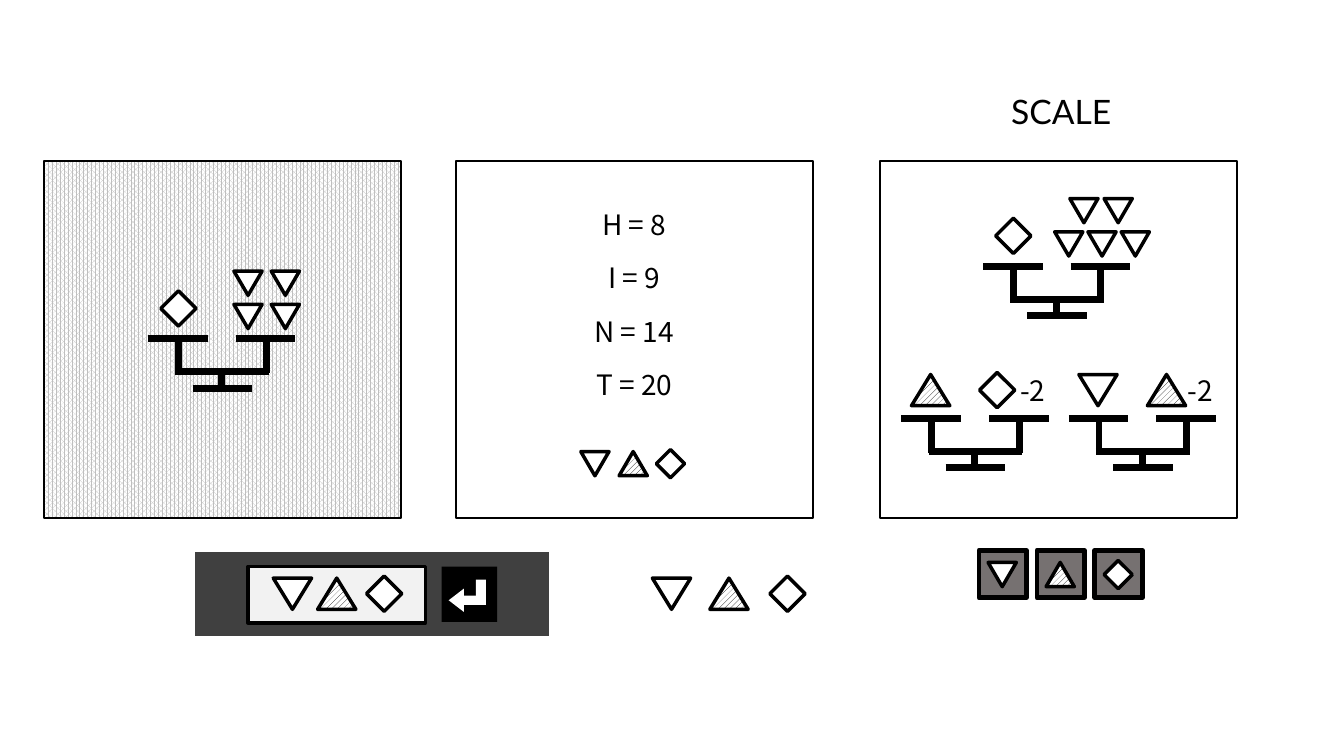
from dataclasses import dataclass

from lxml import etree
from pptx import Presentation
from pptx.dml.color import RGBColor
from pptx.enum.dml import MSO_PATTERN
from pptx.enum.shapes import MSO_CONNECTOR, MSO_SHAPE
from pptx.enum.text import MSO_ANCHOR, PP_ALIGN
from pptx.oxml.ns import qn
from pptx.util import Inches, Pt

RECTANGLE = MSO_SHAPE.RECTANGLE
TRIANGLE = MSO_SHAPE.ISOSCELES_TRIANGLE
DIAMOND = MSO_SHAPE.DIAMOND
STRAIGHT = MSO_CONNECTOR.STRAIGHT
HATCH = MSO_PATTERN.WIDE_UPWARD_DIAGONAL
DOTS = MSO_PATTERN.PERCENT_75
CENTER = PP_ALIGN.CENTER
LEFT = PP_ALIGN.LEFT
MIDDLE = MSO_ANCHOR.MIDDLE
TOP = MSO_ANCHOR.TOP
TITLE_ONLY = 5


@dataclass(frozen=True)
class Theme:
    black: str = "000000"
    white: str = "FFFFFF"
    keypad: str = "404040"
    display: str = "F2F2F2"
    key: str = "767171"
    dots: str = "BFBFBF"
    title_font: str = "Lato"
    body_font: str = "Noto Sans CJK KR"
    title_size: float = 24
    body_size: float = 20
    panel_line: float = 1.5
    symbol_line: float = 2.5
    key_line: float = 3.5
    scale_line: float = 5


THEME = Theme()
CODE = ("down", "up", "diamond")
PANEL_SIZE = 3.54
PANEL_TOP = 1.6
# Width and height of triangles, then the side of diamonds
LARGE = (0.38, 0.31, 0.35)
SMALL = (0.28, 0.24, 0.28)


def color(value):
    return RGBColor.from_string(value)


def add_figure(shapes, preset, box, fill=None, pattern=None, line=None,
               line_width=THEME.symbol_line, rotation=0):
    """Draw a preset shape; pattern is a (preset, foreground) pair on white."""
    figure = shapes.add_shape(preset, *map(Inches, box))
    figure.shadow.inherit = False
    figure.rotation = rotation
    if pattern:
        figure.fill.patterned()
        figure.fill.pattern = pattern[0]
        figure.fill.fore_color.rgb = color(pattern[1])
        figure.fill.back_color.rgb = color(THEME.white)
    elif fill:
        figure.fill.solid()
        figure.fill.fore_color.rgb = color(fill)
    else:
        figure.fill.background()
    if line:
        figure.line.color.rgb = color(line)
        figure.line.width = Pt(line_width)
    else:
        figure.line.fill.background()


def add_bar(shapes, start_x, start_y, end_x, end_y):
    ends = map(Inches, (start_x, start_y, end_x, end_y))
    bar = shapes.add_connector(STRAIGHT, *ends)
    bar.line.color.rgb = color(THEME.black)
    bar.line.width = Pt(THEME.scale_line)
    etree.SubElement(bar._element.spPr, qn("a:effectLst"))


def write(holder, text, box, font=THEME.body_font, size=THEME.body_size,
          align=LEFT, anchor=TOP, gap=0):
    """Fill a text holder, one paragraph a line, with gap points between."""
    holder.left, holder.top, holder.width, holder.height = map(Inches, box)
    frame = holder.text_frame
    frame.text = text
    frame.word_wrap = False
    frame.vertical_anchor = anchor
    for index, paragraph in enumerate(frame.paragraphs):
        paragraph.alignment = align
        paragraph.space_before = Pt(gap if index else 0)
        paragraph.font.name = font
        paragraph.font.size = Pt(size)
        paragraph.font.color.rgb = color(THEME.black)


def add_text(shapes, text, box, **style):
    write(shapes.add_textbox(*map(Inches, box)), text, box, **style)


def add_symbol(shapes, kind, center_x, center_y, size=LARGE):
    width, height, side = size
    if kind == "diamond":
        width = height = side
    add_figure(
        shapes, DIAMOND if kind == "diamond" else TRIANGLE,
        (center_x - width / 2, center_y - height / 2, width, height),
        fill=THEME.white, line=THEME.black,
        pattern=(HATCH, THEME.black) if kind == "up" else None,
        rotation=180 if kind == "down" else 0)


def add_code(shapes, centers, center_y, size=LARGE):
    for kind, center_x in zip(CODE, centers):
        add_symbol(shapes, kind, center_x, center_y, size)


def add_scale(shapes, left, top, symbols, note=None):
    """Draw a balance whose pans are at top; symbols are offsets from there."""
    scale = shapes.add_group_shape().shapes
    for pan_x in (0, 0.87):
        add_bar(scale, left + pan_x, top, left + pan_x + 0.59, top)
        post_x = left + pan_x + 0.3
        add_bar(scale, post_x, top, post_x, top + 0.34)
    add_bar(scale, left + 0.27, top + 0.33, left + 1.2, top + 0.33)
    add_bar(scale, left + 0.73, top + 0.33, left + 0.73, top + 0.49)
    add_bar(scale, left + 0.44, top + 0.49, left + 1.03, top + 0.49)
    for kind, offset_x, offset_y, size in symbols:
        add_symbol(scale, kind, left + offset_x, top + offset_y, size)
    if note:
        add_text(scale, note, (left + 1.08, top - 0.49, 0.53, 0.44))


def pile(*rows):
    """List small triangles from the bottom row up, given their offsets."""
    return [("down", offset_x, -0.22 - 0.33 * level, SMALL)
            for level, row in enumerate(rows) for offset_x in row]


def add_panel(shapes, left, **fill):
    add_figure(shapes, RECTANGLE, (left, PANEL_TOP, PANEL_SIZE, PANEL_SIZE),
               line=THEME.black, line_width=THEME.panel_line, **fill)


def add_keypad(shapes):
    add_figure(shapes, RECTANGLE, (1.92, 5.46, 3.54, 0.87),
               fill=THEME.keypad, line=THEME.white)
    keypad = shapes.add_group_shape().shapes
    add_figure(keypad, RECTANGLE, (2.46, 5.62, 1.76, 0.56),
               fill=THEME.display, line=THEME.black)
    add_code(keypad, (2.9, 3.34, 3.81), 5.89)
    add_figure(keypad, RECTANGLE, (4.38, 5.62, 0.55, 0.55), fill=THEME.black)
    for arrow_part in ((4.72, 5.75, 0.1, 0.19), (4.57, 5.91, 0.25, 0.09)):
        add_figure(keypad, RECTANGLE, arrow_part, fill=THEME.white)
    add_figure(keypad, TRIANGLE, (4.41, 5.88, 0.23, 0.15),
               fill=THEME.white, rotation=270)


def add_keys(shapes):
    keys = shapes.add_group_shape().shapes
    lefts = [9.71 + 0.575 * index for index in range(len(CODE))]
    for left in lefts:
        add_figure(keys, RECTANGLE, (left, 5.46, 0.47, 0.47), fill=THEME.key,
                   line=THEME.black, line_width=THEME.key_line)
    add_code(keys, [left + 0.23 for left in lefts], 5.7, SMALL)


def main():
    deck = Presentation()
    deck.slide_width, deck.slide_height = Inches(13.33), Inches(7.5)
    slide = deck.slides.add_slide(deck.slide_layouts[TITLE_ONLY])
    shapes = slide.shapes
    write(shapes.title, "SCALE", (9.91, 0.85, 1.23, 0.5), align=CENTER,
          font=THEME.title_font, size=THEME.title_size, anchor=MIDDLE)

    add_panel(shapes, 0.44, pattern=(DOTS, THEME.dots))
    add_panel(shapes, 4.52)
    add_panel(shapes, 8.73, fill=THEME.white)

    lone_diamond = ("diamond", 0.3, -0.3, LARGE)
    pair = (0.99, 1.36)
    add_scale(shapes, 1.47, 3.36, [lone_diamond, *pile(pair, pair)])
    add_scale(shapes, 9.75, 2.64,
              [lone_diamond, *pile((0.85, 1.18, 1.51), (1, 1.34))])
    add_scale(shapes, 8.94, 4.15, [("up", 0.29, -0.28, LARGE),
                                   ("diamond", 0.95, -0.28, LARGE)], "-2")
    add_scale(shapes, 10.6, 4.15, [("down", 0.29, -0.28, LARGE),
                                   ("up", 0.97, -0.28, LARGE)], "-2")

    add_text(shapes, "H = 8\nI = 9\nN = 14\nT = 20", (5.78, 2.01, 1.02, 2.05),
             align=CENTER, gap=14)
    add_code(shapes, (5.9, 6.28, 6.65), 4.6, SMALL)

    add_keypad(shapes)
    add_code(shapes, (6.66, 7.23, 7.81), 5.89)
    add_keys(shapes)
    deck.save("out.pptx")


if __name__ == "__main__":
    main()
